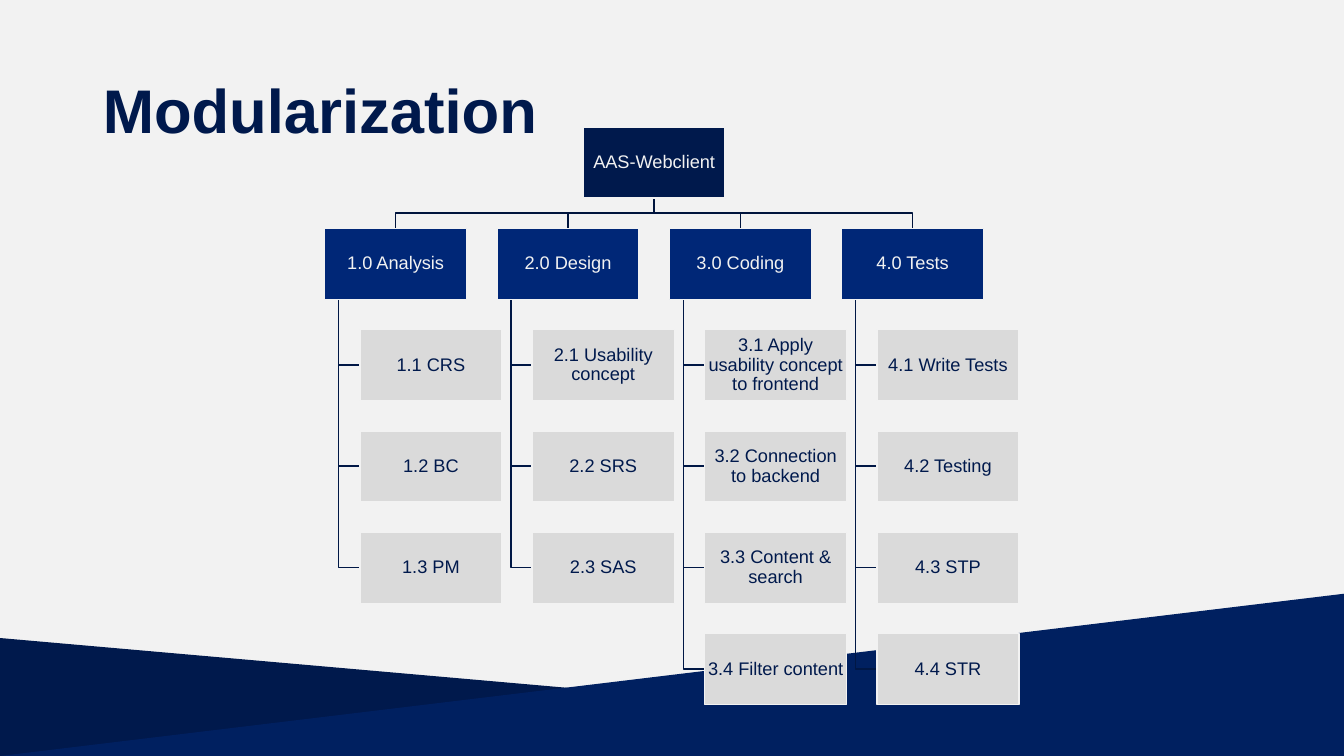
from pptx import Presentation
from pptx.dml.color import RGBColor
from pptx.enum.shapes import MSO_SHAPE
from pptx.enum.text import MSO_ANCHOR, PP_ALIGN
from pptx.util import Pt

SCALE = 4572  # 200 px to the inch
WIDE, HIGH = 2667, 1500

NAVY, BLUE, DEEP = "00194C", "002777", "002060"
PALE, GREY = "F2F2F2", "DADADA"
TRUNK, TWIG = "00143D", "001745"

# Chart grid
LEFT, TOP = 644, 252
COL, ROW = 342, 201
BOX_W, BOX_H = 282, 141
INDENT, STEM = 70, 28

ROOT = "AAS-Webclient"
PARTS = {
    "1.0 Analysis": ["1.1 CRS", "1.2 BC", "1.3 PM"],
    "2.0 Design": ["2.1 Usability concept", "2.2 SRS", "2.3 SAS"],
    "3.0 Coding": ["3.1 Apply usability concept to frontend",
                   "3.2 Connection to backend",
                   "3.3 Content & search", "3.4 Filter content"],
    "4.0 Tests": ["4.1 Write Tests", "4.2 Testing", "4.3 STP", "4.4 STR"],
}


def px(n):
    return int(n * SCALE)


def hue(code):
    return RGBColor.from_string(code)


class Deck:
    font = "Arial"

    def __init__(self):
        self.prs = Presentation()
        self.prs.slide_width, self.prs.slide_height = px(WIDE), px(HIGH)
        self.slide = self.prs.slides.add_slide(self.prs.slide_layouts[5])
        back = self.slide.background.fill
        back.solid()
        back.fore_color.rgb = hue(PALE)

    def label(self, frame, text, size, color, align):
        frame.word_wrap = True
        frame.vertical_anchor = MSO_ANCHOR.MIDDLE
        frame.text = text
        para = frame.paragraphs[0]
        para.alignment = align
        para.line_spacing = 0.9
        para.font.name = self.font
        para.font.size = Pt(size)
        para.font.color.rgb = hue(color)
        return para

    def title(self, text, x, y, w, h):
        shape = self.slide.shapes.title
        shape.left, shape.top = px(x), px(y)
        shape.width, shape.height = px(w), px(h)
        para = self.label(shape.text_frame, text, 44, NAVY, PP_ALIGN.LEFT)
        para.font.bold = True

    def solid(self, kind, x, y, w, h, fill):
        shape = self.slide.shapes.add_shape(kind, px(x), px(y), px(w), px(h))
        shape.shadow.inherit = False
        shape.fill.solid()
        shape.fill.fore_color.rgb = hue(fill)
        shape.line.fill.background()
        return shape

    def slope(self, y, peak, fill):
        shape = self.solid(MSO_SHAPE.ISOSCELES_TRIANGLE,
                           0, y, WIDE, HIGH - y, fill)
        shape.adjustments[0] = peak

    def box(self, text, x, y, fill, color):
        shape = self.solid(MSO_SHAPE.RECTANGLE, x, y, BOX_W, BOX_H, fill)
        shape.line.color.rgb = hue(PALE)
        shape.line.width = Pt(1)
        frame = shape.text_frame
        frame.margin_left = frame.margin_right = px(2)
        frame.margin_top = frame.margin_bottom = px(2)
        self.label(frame, text, 13, color, PP_ALIGN.CENTER)

    def link(self, points, color):
        start, *rest = points
        line = self.slide.shapes.build_freeform(*start, scale=SCALE)
        line.add_line_segments(rest, close=False)
        shape = line.convert_to_shape()
        shape.shadow.inherit = False
        shape.fill.background()
        shape.line.color.rgb = hue(color)
        shape.line.width = Pt(1)


def main():
    deck = Deck()

    # Backdrop and title
    deck.slope(1266, 0, NAVY)
    deck.slope(1178, 1, DEEP)
    deck.title("Modularization", 184, 80, 2300, 290)

    root_x = LEFT + COL * (len(PARTS) - 1) // 2
    mid = root_x + BOX_W // 2
    foot, head = TOP + BOX_H, TOP + ROW
    fork = (foot + head) // 2
    cols = [(LEFT + i * COL, name, tasks)
            for i, (name, tasks) in enumerate(PARTS.items())]

    # Links, behind all boxes
    for x, name, tasks in cols:
        end = x + BOX_W // 2
        deck.link([(mid, foot), (mid, fork), (end, fork), (end, head)], TRUNK)
        for row in range(len(tasks)):
            y = head + (row + 1) * ROW + BOX_H // 2
            stem = x + STEM
            deck.link([(stem, head + BOX_H), (stem, y), (x + INDENT, y)], TWIG)

    # Boxes
    deck.box(ROOT, root_x, TOP, NAVY, PALE)
    for x, name, tasks in cols:
        deck.box(name, x, head, BLUE, PALE)
        for row, task in enumerate(tasks, 1):
            deck.box(task, x + INDENT, head + row * ROW, GREY, NAVY)

    deck.prs.save("out.pptx")


if __name__ == "__main__":
    main()
